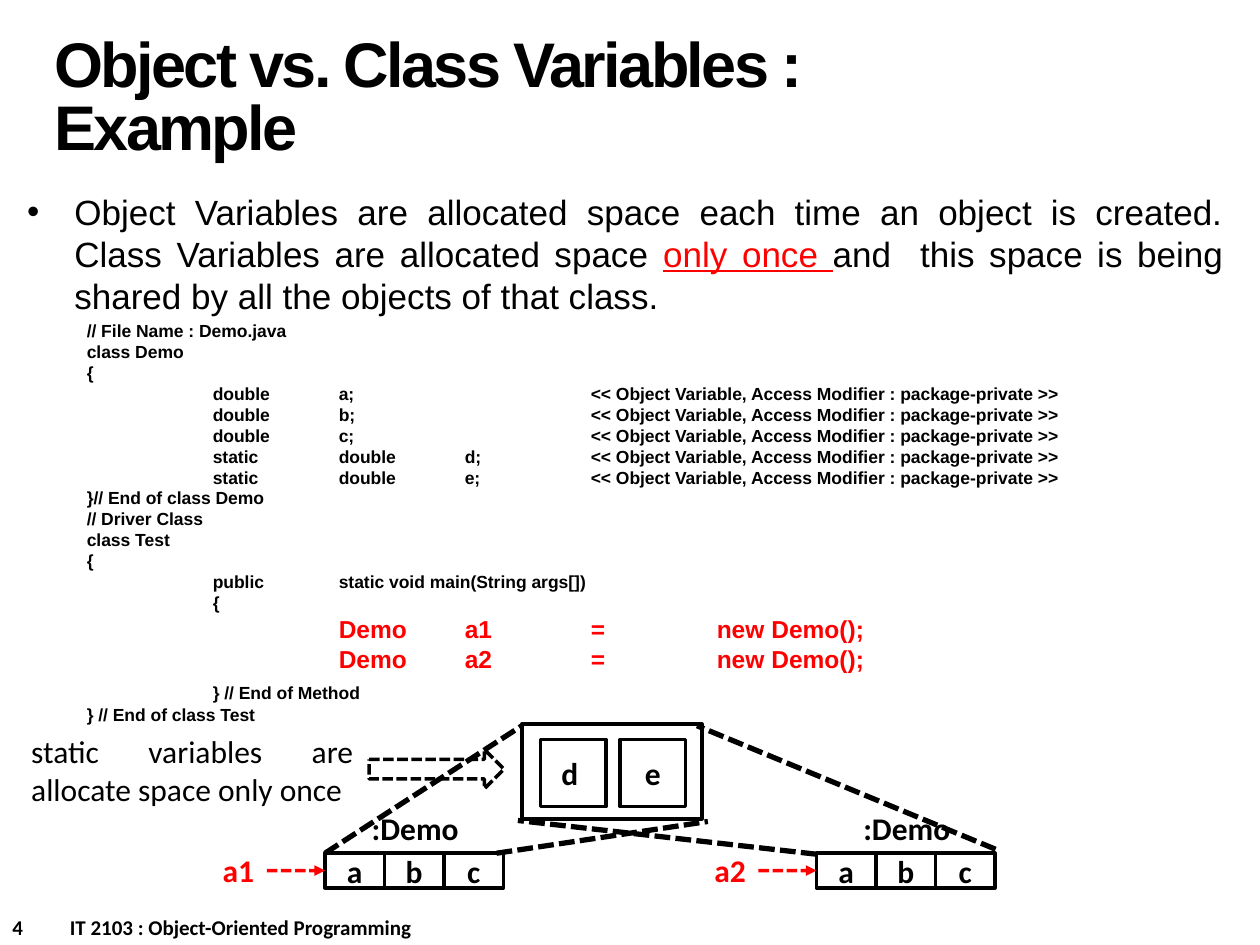
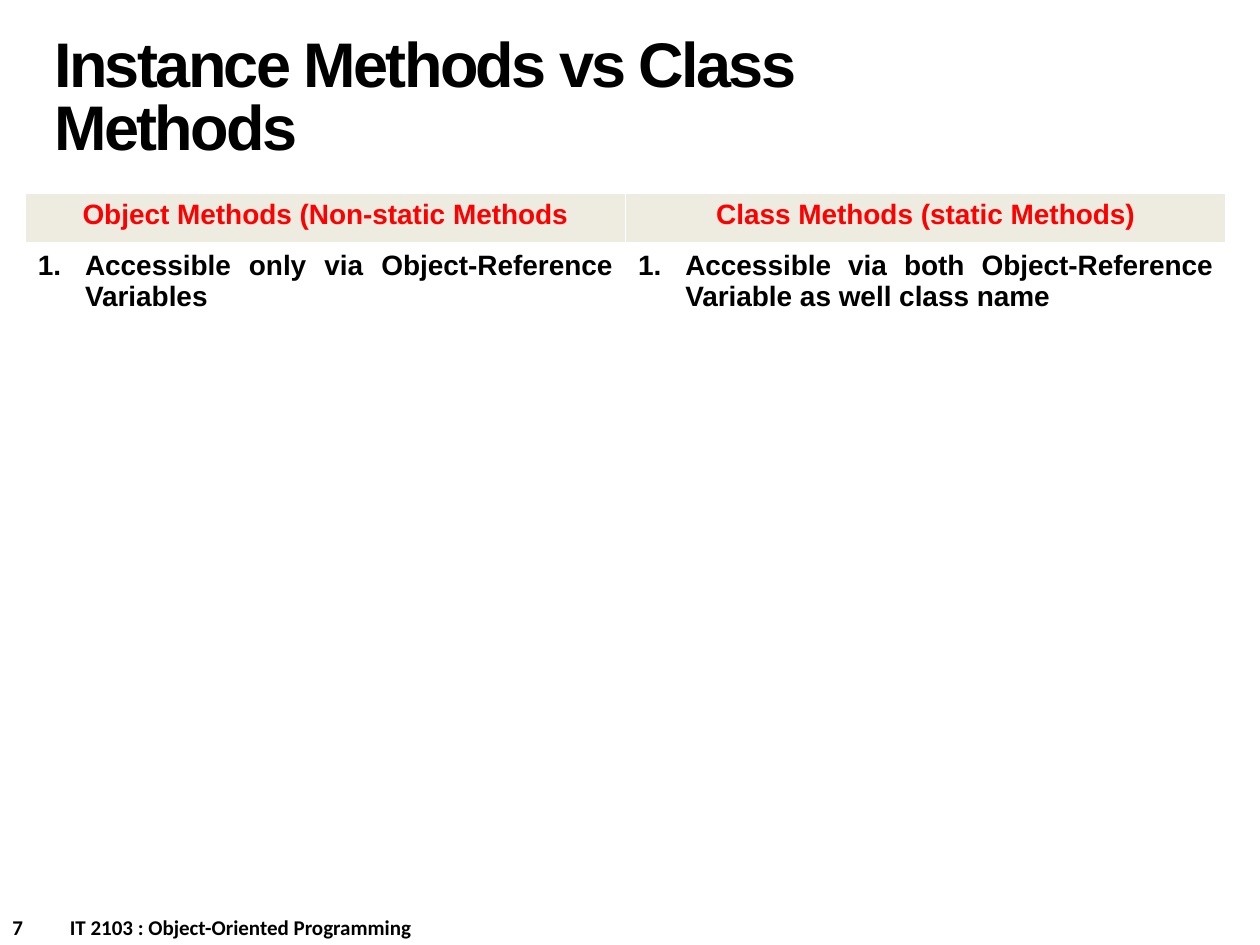
from dataclasses import dataclass, replace

from lxml.etree import SubElement
from pptx import Presentation
from pptx.dml.color import RGBColor
from pptx.enum.dml import MSO_LINE
from pptx.enum.shapes import MSO_CONNECTOR, MSO_SHAPE
from pptx.enum.text import MSO_ANCHOR, MSO_AUTO_SIZE, PP_ALIGN
from pptx.oxml.ns import qn
from pptx.util import Cm, Pt

BLACK = RGBColor(0x00, 0x00, 0x00)
RED = RGBColor(0xFF, 0x00, 0x00)
WHITE = RGBColor(0xFF, 0xFF, 0xFF)
CREAM = RGBColor(0xEE, 0xEC, 0xE1)
COURSE = "IT 2103 : Object-Oriented Programming"
HANGING = Cm(0.95)


@dataclass(frozen=True)
class Style:
    size: float
    name: str = "Arial"
    color: RGBColor = BLACK
    bold: bool = True
    align: PP_ALIGN = PP_ALIGN.LEFT
    leading: float | None = None


@dataclass(frozen=True)
class Area:
    left: float
    top: float
    width: float
    height: float

    def lengths(self) -> tuple:
        return Cm(self.left), Cm(self.top), Cm(self.width), Cm(self.height)


@dataclass(frozen=True)
class Dash:
    start: tuple[float, float]
    end: tuple[float, float]


TITLE = Style(36, leading=36)
FOOTER = Style(12, "Calibri")
BODY = Style(20, bold=False, align=PP_ALIGN.JUSTIFY, leading=24)
CODE = Style(10, leading=12)
CREATION = Style(14, color=RED, leading=17)
LABEL = Style(18, "Calibri", align=PP_ALIGN.CENTER)
REFERENCE = replace(LABEL, color=RED, align=PP_ALIGN.LEFT)
NOTE = replace(LABEL, bold=False, align=PP_ALIGN.JUSTIFY)
HEADING = Style(16, color=RED, align=PP_ALIGN.CENTER)
POINT = Style(16, align=PP_ALIGN.JUSTIFY)

MODIFIER = "<< Object Variable, Access Modifier : package-private >>"
CODE_LINES = [
    ("// File Name : Demo.java", CODE),
    ("class Demo", CODE),
    ("{", CODE),
    *((f"\tdouble\t{name};\t\t{MODIFIER}", CODE) for name in "abc"),
    *((f"\tstatic\tdouble\t{name};\t{MODIFIER}", CODE) for name in "de"),
    ("}// End of class Demo", CODE),
    ("// Driver Class", CODE),
    ("class Test", CODE),
    ("{", CODE),
    ("\tpublic\tstatic void main(String args[])", CODE),
    ("\t{", CODE),
    *((f"\t\tDemo\t{name}\t=\tnew Demo();", CREATION) for name in ("a1", "a2")),
    ("\t} // End of Method", replace(CODE, leading=17)),
    ("} // End of class Test", replace(CODE, leading=13)),
]

# Lines from the static block down to the two objects
SHARING_LINES = [
    Dash((6.55, 17.2), (10.52, 14.63)),
    Dash((10.01, 17.2), (14.27, 16.56)),
    Dash((16.46, 17.22), (10.44, 16.54)),
    Dash((20.07, 17.12), (14.05, 14.63)),
]

METHOD_COLUMNS = [
    ("Object Methods (Non-static Methods",
     "Accessible only via Object-Reference Variables"),
    ("Class Methods (static Methods)",
     "Accessible via both Object-Reference Variable as well class name"),
]


def format_para(para, style: Style) -> None:
    para.alignment = style.align
    if style.leading:
        para.line_spacing = Pt(style.leading)
    font = para.font
    font.name, font.size, font.bold = style.name, Pt(style.size), style.bold
    font.color.rgb = style.color


def add_bullet(para, tag: str, **attributes: str) -> None:
    """Give an unformatted paragraph a hanging bullet or number."""
    props = para._p.get_or_add_pPr()
    props.set("marL", str(HANGING))
    props.set("indent", str(-HANGING))
    SubElement(props, qn("a:buFont"), typeface="Arial")
    SubElement(props, qn(tag), **attributes)


def add_text(shapes, area: Area, text: str, style: Style, wrap: bool = True):
    box = shapes.add_textbox(*area.lengths())
    box.text_frame.word_wrap = wrap
    para = box.text_frame.paragraphs[0]
    para.text = text
    format_para(para, style)
    return box


def add_outline(shapes, area: Area, text: str = "",
                kind: MSO_SHAPE = MSO_SHAPE.RECTANGLE):
    box = shapes.add_shape(kind, *area.lengths())
    box.shadow.inherit = False
    box.fill.background()
    box.line.color.rgb = BLACK
    box.line.width = Pt(2)
    if text:
        box.text_frame.vertical_anchor = MSO_ANCHOR.MIDDLE
        para = box.text_frame.paragraphs[0]
        para.text = text
        format_para(para, LABEL)
    return box


def add_dash(shapes, dash: Dash, color: RGBColor, width: float,
             arrow: bool = False):
    ends = [Cm(value) for value in (*dash.start, *dash.end)]
    line = shapes.add_connector(MSO_CONNECTOR.STRAIGHT, *ends)
    line.line.color.rgb = color
    line.line.width = Pt(width)
    line.line.dash_style = MSO_LINE.SQUARE_DOT
    if arrow:
        SubElement(line.line._get_or_add_ln(), qn("a:tailEnd"), type="triangle")
    SubElement(line._element.spPr, qn("a:effectLst"))
    return line


def add_page(deck, title: str, number: int):
    page = deck.slides.add_slide(deck.slide_layouts[5])
    # Title
    box = page.shapes.title
    box.left, box.top, box.width, box.height = Area(0.84, 0.43, 17.58, 3.18).lengths()
    frame = box.text_frame
    frame.auto_size = MSO_AUTO_SIZE.NONE
    frame.vertical_anchor = MSO_ANCHOR.MIDDLE
    para = frame.paragraphs[0]
    span = para.add_run()
    span.text = title
    span._r.get_or_add_rPr().set("spc", "-150")
    format_para(para, TITLE)
    # Footer, with a tab stop between the number and the course
    footer = page.shapes.add_textbox(*Area(0, 18.31, 12.7, 0.76).lengths())
    footer.text_frame.word_wrap = True
    para = footer.text_frame.paragraphs[0]
    para.text = f"{number}\t{COURSE}"
    stops = SubElement(para._p.get_or_add_pPr(), qn("a:tabLst"))
    SubElement(stops, qn("a:tab"), pos=str(Cm(1.16)), algn="l")
    format_para(para, FOOTER)
    return page


def add_statement(page) -> None:
    box = page.shapes.add_textbox(*Area(0.3, 3.71, 24.61, 2.82).lengths())
    box.text_frame.word_wrap = True
    para = box.text_frame.paragraphs[0]
    add_bullet(para, "a:buChar", char="•")
    format_para(para, BODY)
    parts = [
        "Object Variables are allocated space each time an object is created. "
        "Class Variables are allocated space ",
        "only once ",
        "and  this space is being shared by all the objects of that class.",
    ]
    spans = [para.add_run() for _ in parts]
    for span, part in zip(spans, parts):
        span.text = part
    spans[1].font.color.rgb = RED
    spans[1].font.underline = True


def add_code(page) -> None:
    frame = page.shapes.add_textbox(*Area(1.5, 6.32, 21.21, 8.46).lengths()).text_frame
    frame.word_wrap = True
    for index, (line, style) in enumerate(CODE_LINES):
        para = frame.add_paragraph() if index else frame.paragraphs[0]
        para.text = line
        para._p.get_or_add_pPr().set("defTabSz", str(Cm(2.54)))
        format_para(para, style)


def add_object(page, name: str, left: float) -> None:
    """Draw a reference, its arrow and the object's three variables."""
    shapes = page.shapes.add_group_shape().shapes
    reference = add_text(shapes, Area(left, 17.04, 1.14, 1.02), name, REFERENCE, wrap=False)
    first, *_ = [
        add_outline(shapes, Area(left + 2.31 + 1.2 * index, 17.2, 1.2, 0.7), variable)
        for index, variable in enumerate("abc")
    ]
    arrow = add_dash(shapes, Dash((left + 1.14, 17.55), (left + 2.31, 17.55)),
                     RED, 2, arrow=True)
    arrow.begin_connect(reference, 3)
    arrow.end_connect(first, 1)
    add_text(shapes, Area(left + 2.34, 16.18, 3.58, 1.02), ":Demo", LABEL)


def add_static_block(page) -> None:
    shapes = page.shapes.add_group_shape().shapes
    add_outline(shapes, Area(10.52, 14.6, 3.63, 1.91))
    for index, variable in enumerate(("d ", "e")):
        add_outline(shapes, Area(10.9 + 1.6 * index, 14.91, 1.32, 1.35), variable)


def build_variables(deck) -> None:
    page = add_page(deck, "Object vs. Class Variables : Example", 4)
    add_statement(page)
    add_code(page)
    # Memory diagram
    for name, left in (("a1", 4.24), ("a2", 14.15)):
        add_object(page, name, left)
    add_static_block(page)
    pointer = add_outline(page.shapes, Area(7.44, 15.11, 2.72, 0.79),
                          kind=MSO_SHAPE.RIGHT_ARROW)
    pointer.line.dash_style = MSO_LINE.SQUARE_DOT
    add_text(page.shapes, Area(0.38, 14.63, 6.99, 1.8),
             "static variables are allocate space only once", NOTE)
    for dash in SHARING_LINES:
        add_dash(page.shapes, dash, BLACK, 3)


def format_cell(cell, fill: RGBColor, bottom: float) -> None:
    props = cell._tc.get_or_add_tcPr()
    for side, width in (("L", 1), ("R", 1), ("T", 1), ("B", bottom)):
        edge = SubElement(props, qn(f"a:ln{side}"), w=str(Pt(width)))
        paint = SubElement(edge, qn("a:solidFill"))
        SubElement(paint, qn("a:srgbClr"), val=str(WHITE))
    cell.fill.solid()
    cell.fill.fore_color.rgb = fill


def build_methods(deck) -> None:
    page = add_page(deck, "Instance Methods vs Class Methods", 7)
    area = Area(0.51, 3.89, 24.2, 2.06)
    table = page.shapes.add_table(2, 2, *area.lengths()).table
    for column, (heading, point) in enumerate(METHOD_COLUMNS):
        top, below = table.cell(0, column), table.cell(1, column)
        format_cell(top, CREAM, 3)
        format_cell(below, WHITE, 1)
        top.text, below.text = heading, point
        format_para(top.text_frame.paragraphs[0], HEADING)
        para = below.text_frame.paragraphs[0]
        add_bullet(para, "a:buAutoNum", type="arabicPeriod")
        format_para(para, POINT)


def main() -> None:
    deck = Presentation()
    deck.slide_width, deck.slide_height = Cm(25.4), Cm(19.05)
    build_variables(deck)
    build_methods(deck)
    deck.save("out.pptx")


if __name__ == "__main__":
    main()
